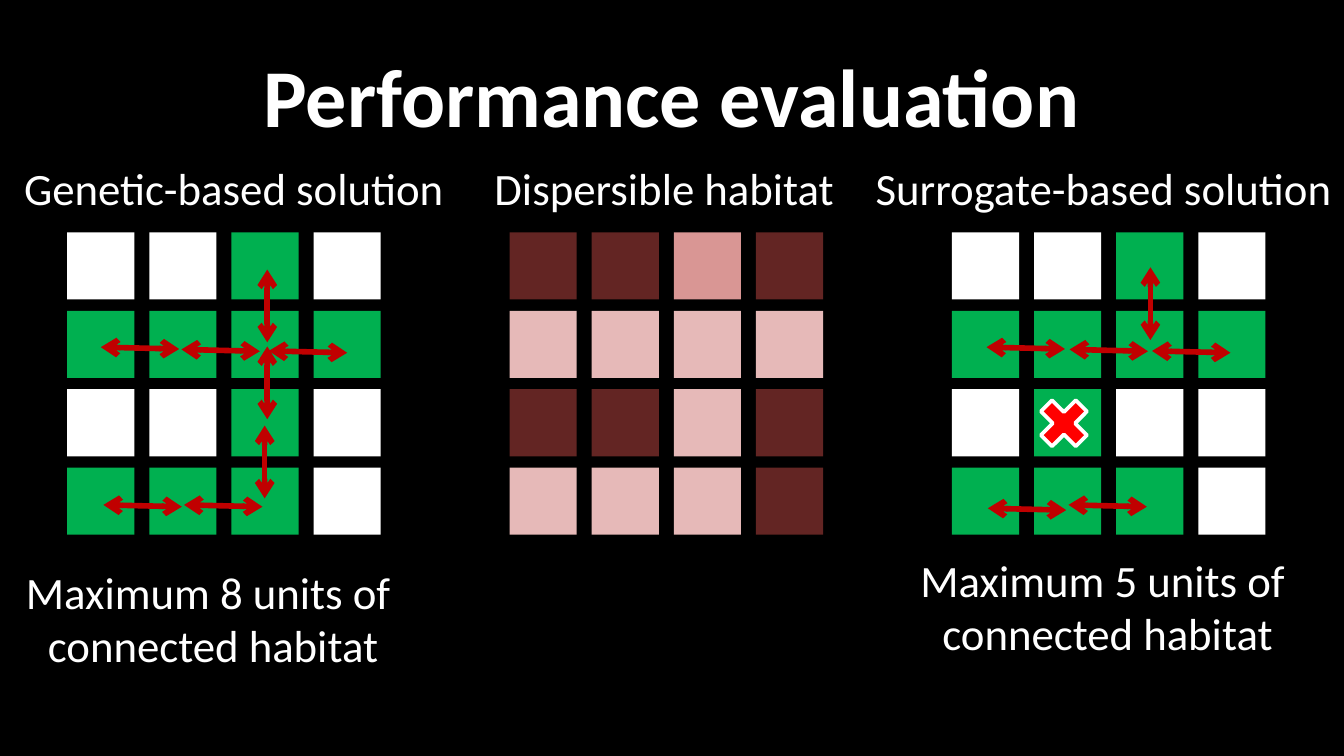
from lxml.etree import SubElement
from pptx import Presentation
from pptx.dml.color import RGBColor
from pptx.enum.shapes import MSO_CONNECTOR, MSO_SHAPE
from pptx.enum.text import MSO_ANCHOR, PP_ALIGN
from pptx.oxml.ns import qn
from pptx.util import Pt

COLORS = {
    "background": "000000", "text": "FFFFFF", "arrow": "C00000", "cross": "FF0000",
    "W": "FFFFFF", "G": "00B050", "D": "632523", "M": "D99694", "L": "E6B9B8",
}
FONT = "Calibri"
TITLE = ("Performance evaluation", (36, 16.5, 648, 68))
HABITATS = [
    {"left": 36, "rows": ["WWGW", "GGGG", "WWGW", "GGGW"],
     "heading": ("Genetic-based solution", (5.8, 82.8, 242, 36)),
     "result": (["Maximum 8 units of ", "connected habitat"], (5.8, 298.8, 216.7, 65.5)),
     "across": [(54, 186), (97.2, 187.2), (144, 188), (98.6, 270.5), (55.4, 270.5)],
     "up": [(141.8, 267), (143.2, 183.4), (143.2, 224.6)]},
    {"left": 273, "rows": ["DDMD", "LLLL", "DDLD", "LLLD"],
     "heading": ("Dispersible habitat", (257.8, 82.4, 198, 36)),
     "result": None, "across": [], "up": []},
    {"left": 510, "rows": ["WWGW", "GGGG", "WGWW", "GGGW"],
     "heading": ("Surrogate-based solution", (462, 82.8, 261.4, 36)),
     "result": (["Maximum 5 units of ", "connected habitat"], (485, 292.3, 216.7, 65.5)),
     "across": [(528.5, 186), (573, 187.2), (617.2, 188), (572.4, 270.5), (529.2, 272.3)],
     "up": [(616.3, 182.2)]},
]
CROSS = (552, 208.8, 36, 36)
GRID_TOP, CELL, PITCH_X, PITCH_Y = 124.5, 36, 44, 42
ACROSS, UP = (42, 1), (0, -39)


def color(key):
    return RGBColor.from_string(COLORS[key])


def add_text(slide, lines, box, size=24, bold=False, align=PP_ALIGN.LEFT, wrap=False):
    frame = slide.shapes.add_textbox(*map(Pt, box)).text_frame
    frame.word_wrap = wrap
    frame.vertical_anchor = MSO_ANCHOR.MIDDLE if wrap else MSO_ANCHOR.TOP
    for index, line in enumerate(lines):
        paragraph = frame.add_paragraph() if index else frame.paragraphs[0]
        paragraph.alignment = align
        run = paragraph.add_run()
        run.text = line
        run.font.name, run.font.size, run.font.bold = FONT, Pt(size), bold
        run.font.color.rgb = color("text")


def add_filled(shapes, kind, box, fill):
    shape = shapes.add_shape(kind, *map(Pt, box))
    shape.shadow.inherit = False
    shape.fill.solid()
    shape.fill.fore_color.rgb = color(fill)
    shape.line.fill.background()
    return shape


def add_grid(slide, left, rows):
    cells = slide.shapes.add_group_shape().shapes
    for r, row in enumerate(rows):
        for c, habitat in enumerate(row):
            box = (left + c * PITCH_X, GRID_TOP + r * PITCH_Y, CELL, CELL)
            add_filled(cells, MSO_SHAPE.RECTANGLE, box, habitat)


def add_arrow(slide, start, step):
    x, y = start
    arrow = slide.shapes.add_connector(
        MSO_CONNECTOR.STRAIGHT, Pt(x), Pt(y), Pt(x + step[0]), Pt(y + step[1]))
    arrow.line.color.rgb = color("arrow")
    arrow.line.width = Pt(3)
    properties = arrow._element.spPr
    outline = properties.find(qn("a:ln"))
    for end in ("a:headEnd", "a:tailEnd"):
        SubElement(outline, qn(end), type="arrow")
    SubElement(properties, qn("a:effectLst"))


def main():
    deck = Presentation()
    deck.slide_width, deck.slide_height = Pt(720), Pt(405)
    slide = deck.slides.add_slide(deck.slide_layouts[6])
    slide.background.fill.solid()
    slide.background.fill.fore_color.rgb = color("background")

    title, title_box = TITLE
    add_text(slide, [title], title_box, 44, True, PP_ALIGN.CENTER, True)
    for habitat in HABITATS:
        add_grid(slide, habitat["left"], habitat["rows"])
        heading, heading_box = habitat["heading"]
        add_text(slide, [heading], heading_box)
        if habitat["result"]:
            add_text(slide, *habitat["result"], align=PP_ALIGN.CENTER)
        for direction, step in (("across", ACROSS), ("up", UP)):
            for start in habitat[direction]:
                add_arrow(slide, start, step)

    cross = add_filled(slide.shapes, MSO_SHAPE.MATH_MULTIPLY, CROSS, "cross")
    cross.line.color.rgb = color("text")
    cross.line.width = Pt(2)
    deck.save("out.pptx")


if __name__ == "__main__":
    main()
